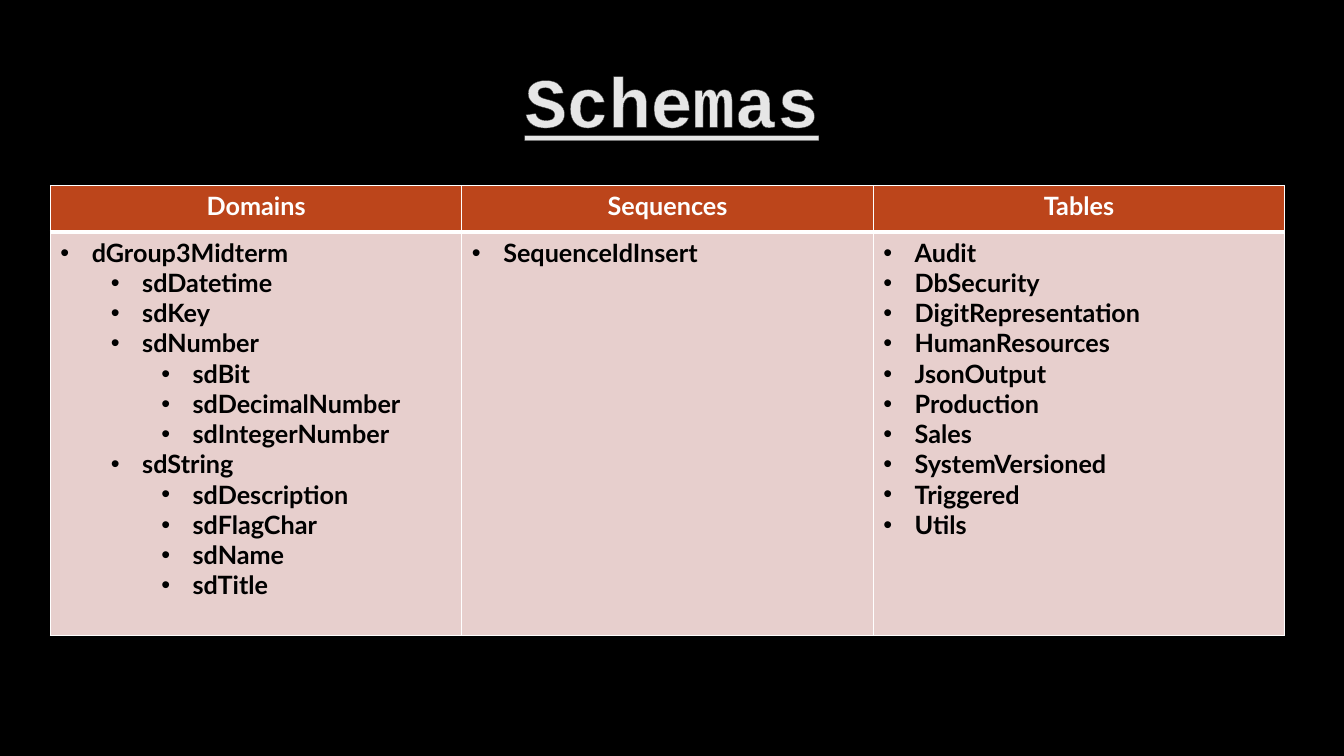
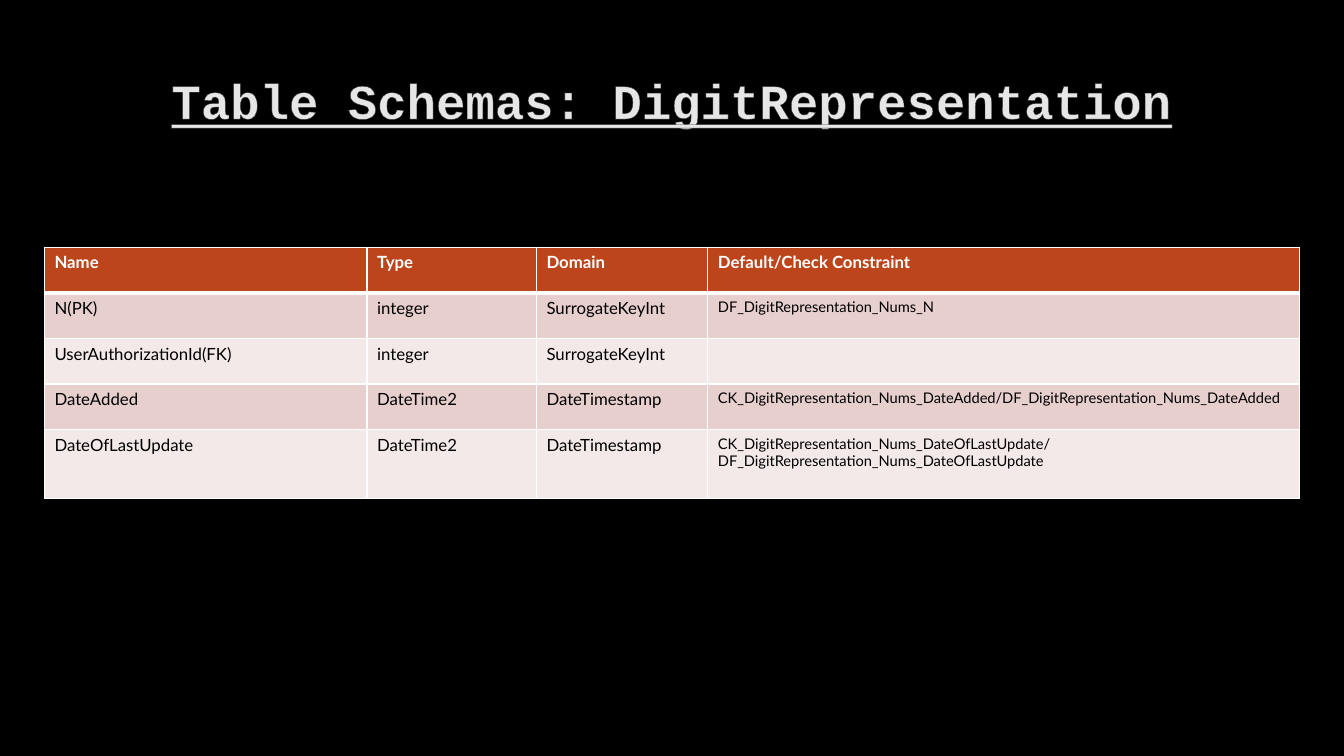
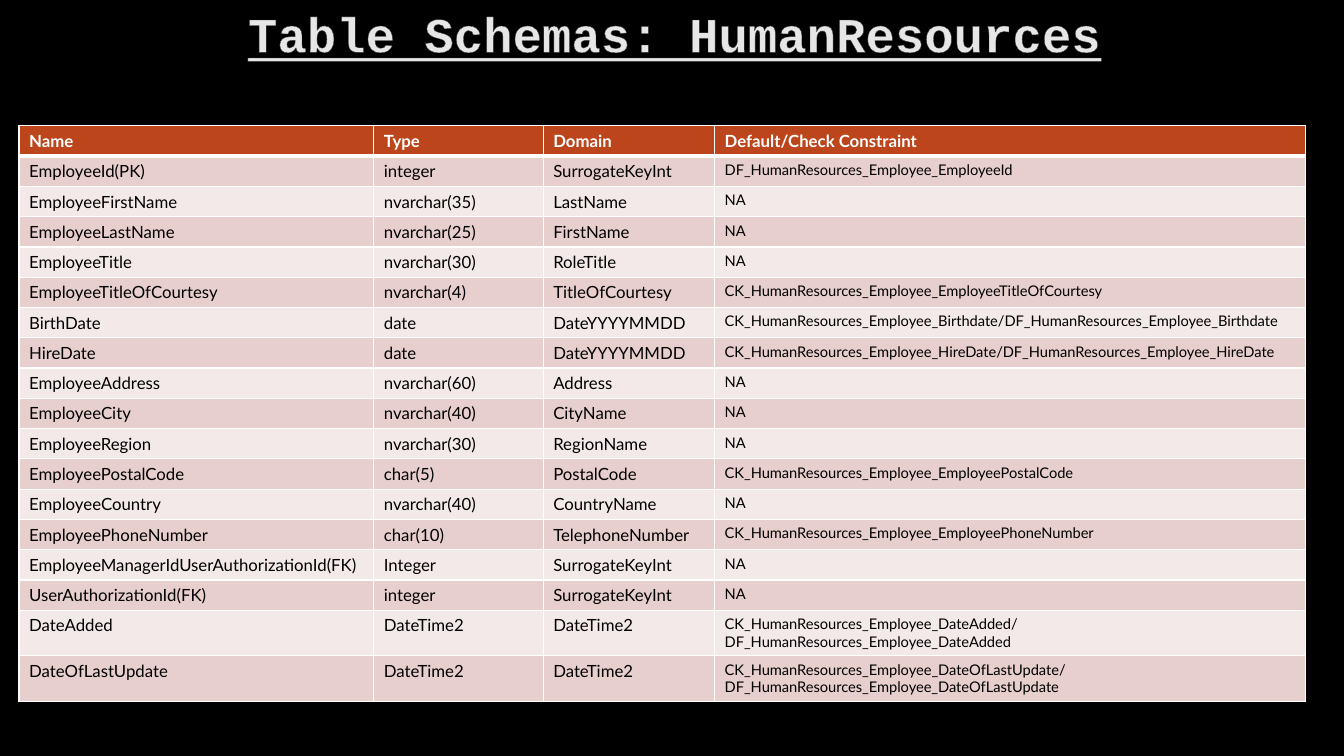
from lxml import etree
from pptx import Presentation
from pptx.dml.color import RGBColor
from pptx.enum.text import MSO_ANCHOR, MSO_AUTO_SIZE, PP_ALIGN
from pptx.oxml.ns import qn
from pptx.util import Cm, Pt

BLACK = RGBColor(0x00, 0x00, 0x00)
WHITE = RGBColor(0xFF, 0xFF, 0xFF)
GRAY = RGBColor(0x40, 0x40, 0x40)
RUST = RGBColor(0xBC, 0x45, 0x1B)
ROSE = RGBColor(0xE7, 0xCF, 0xCD)
PALE = RGBColor(0xF3, 0xE9, 0xE8)
CENTER = PP_ALIGN.CENTER
MIDDLE = MSO_ANCHOR.MIDDLE
NO_FIT = MSO_AUTO_SIZE.NONE
TITLE_FONT = "Courier New"
BODY_FONT = "Lato"
TITLE_BOX = (2.31, 1.02, 29.24, 2.97)
TOP_TITLE_BOX = (0.48, 0, 33.05, 1.65)
TITLE_ONLY = 5

DOMAINS = [
    ("dGroup3Midterm", 0), ("sdDatetime", 1), ("sdKey", 1), ("sdNumber", 1),
    ("sdBit", 2), ("sdDecimalNumber", 2), ("sdIntegerNumber", 2),
    ("sdString", 1), ("sdDescription", 2), ("sdFlagChar", 2),
    ("sdName", 2), ("sdTitle", 2),
]
SEQUENCES = [("SequenceIdInsert", 0)]
TABLES = [(name, 0) for name in (
    "Audit", "DbSecurity", "DigitRepresentation", "HumanResources",
    "JsonOutput", "Production", "Sales", "SystemVersioned", "Triggered",
    "Utils")]
COLUMN_HEADS = ("Name", "Type", "Domain", "Default/Check Constraint")
DIGIT_ROWS = [
    ("N(PK)", "integer", "SurrogateKeyInt", "DF_DigitRepresentation_Nums_N"),
    ("UserAuthorizationId(FK)", "integer", "SurrogateKeyInt", ""),
    ("DateAdded", "DateTime2", "DateTimestamp",
     "CK_DigitRepresentation_Nums_DateAdded/DF_DigitRepresentation_Nums_DateAdded"),
    ("DateOfLastUpdate", "DateTime2", "DateTimestamp",
     "CK_DigitRepresentation_Nums_DateOfLastUpdate/DF_DigitRepresentation_Nums_DateOfLastUpdate"),
]
EMPLOYEE_ROWS = [
    ("EmployeeId(PK)", "integer", "SurrogateKeyInt",
     "DF_HumanResources_Employee_EmployeeId"),
    ("EmployeeFirstName", "nvarchar(35)", "LastName", "NA"),
    ("EmployeeLastName", "nvarchar(25)", "FirstName", "NA"),
    ("EmployeeTitle", "nvarchar(30)", "RoleTitle", "NA"),
    ("EmployeeTitleOfCourtesy", "nvarchar(4)", "TitleOfCourtesy",
     "CK_HumanResources_Employee_EmployeeTitleOfCourtesy"),
    ("BirthDate", "date", "DateYYYYMMDD",
     "CK_HumanResources_Employee_Birthdate/DF_HumanResources_Employee_Birthdate"),
    ("HireDate", "date", "DateYYYYMMDD",
     "CK_HumanResources_Employee_HireDate/DF_HumanResources_Employee_HireDate"),
    ("EmployeeAddress", "nvarchar(60)", "Address", "NA"),
    ("EmployeeCity", "nvarchar(40)", "CityName", "NA"),
    ("EmployeeRegion", "nvarchar(30)", "RegionName", "NA"),
    ("EmployeePostalCode", "char(5)", "PostalCode",
     "CK_HumanResources_Employee_EmployeePostalCode"),
    ("EmployeeCountry", "nvarchar(40)", "CountryName", "NA"),
    ("EmployeePhoneNumber", "char(10)", "TelephoneNumber",
     "CK_HumanResources_Employee_EmployeePhoneNumber"),
    ("EmployeeManagerIdUserAuthorizationId(FK)", "Integer",
     "SurrogateKeyInt", "NA"),
    ("UserAuthorizationId(FK)", "integer", "SurrogateKeyInt", "NA"),
    ("DateAdded", "DateTime2", "DateTime2",
     "CK_HumanResources_Employee_DateAdded/DF_HumanResources_Employee_DateAdded"),
    ("DateOfLastUpdate", "DateTime2", "DateTime2",
     "CK_HumanResources_Employee_DateOfLastUpdate/DF_HumanResources_Employee_DateOfLastUpdate"),
]


def add_line(parent, tag, color, width, alpha=100):
    ln = etree.SubElement(parent, qn(tag), w=str(Pt(width)))
    fill = etree.SubElement(ln, qn("a:solidFill"))
    clr = etree.SubElement(fill, qn("a:srgbClr"), val=str(color))
    if alpha < 100:
        etree.SubElement(clr, qn("a:alpha"), val=str(alpha * 1000))
    return ln


def write(p, text, size=12, font=BODY_FONT, color=BLACK, bold=False,
          underline=None, align=None):
    p.alignment = align
    r = p.add_run()
    r.text = text
    r.font.size = Pt(size)
    r.font.name = font
    r.font.bold = bold
    r.font.underline = underline
    r.font.color.rgb = color
    return r


def add_bullet(p, level):
    p.level = level
    pPr = p._p.get_or_add_pPr()
    pPr.set("marL", str(Cm(0.79 + 1.27 * level)))
    pPr.set("indent", str(Cm(-0.79)))
    etree.SubElement(pPr, qn("a:buFont"), typeface="Arial")
    etree.SubElement(pPr, qn("a:buChar"), char="•")


class Deck:
    def __init__(self):
        self.prs = Presentation()
        self.prs.slide_width = Cm(33.87)
        self.prs.slide_height = Cm(19.05)
        self.s = None

    def slide(self, title, size=35, box=TITLE_BOX):
        self.s = self.prs.slides.add_slide(self.prs.slide_layouts[TITLE_ONLY])
        self.s.background.fill.solid()
        self.s.background.fill.fore_color.rgb = BLACK
        sp = self.s.shapes.title
        sp.left, sp.top, sp.width, sp.height = map(Cm, box)
        tf = sp.text_frame
        tf.word_wrap = True
        tf.auto_size = NO_FIT
        tf.vertical_anchor = MIDDLE
        r = write(tf.paragraphs[0], title, size, TITLE_FONT, WHITE,
                  bold=True, underline=True, align=CENTER)
        rPr = r._r.get_or_add_rPr()
        rPr.insert(0, add_line(rPr, "a:ln", GRAY, 0.75, alpha=90))

    def table(self, left, top, widths, heights):
        frame = self.s.shapes.add_table(
            len(heights), len(widths), Cm(left), Cm(top),
            Cm(sum(widths)), Cm(sum(heights)))
        table = frame.table
        for column, width in zip(table.columns, widths):
            column.width = Cm(width)
        for i, (row, height) in enumerate(zip(table.rows, heights)):
            row.height = Cm(height)
            for cell in row.cells:
                self.style_cell(cell, i)
        return table

    def style_cell(self, cell, row):
        tcPr = cell._tc.get_or_add_tcPr()
        widths = {"L": 1, "R": 1, "T": 3 if row == 1 else 1,
                  "B": 3 if row == 0 else 1}
        for side, width in widths.items():
            add_line(tcPr, f"a:ln{side}", WHITE, width)
        cell.fill.solid()
        cell.fill.fore_color.rgb = RUST if row == 0 else ROSE if row % 2 else PALE

    def list_table(self, left, top, widths, heights, lists):
        table = self.table(left, top, widths, heights)
        for j, (head, items) in enumerate(lists.items()):
            write(table.cell(0, j).text_frame.paragraphs[0], head, 18,
                  color=WHITE, bold=True, align=CENTER)
            tf = table.cell(1, j).text_frame
            for k, (text, level) in enumerate(items):
                p = tf.add_paragraph() if k else tf.paragraphs[0]
                add_bullet(p, level)
                write(p, text, 18, bold=True)

    def schema_table(self, left, top, widths, heights, rows):
        table = self.table(left, top, widths, heights)
        for i, row in enumerate([COLUMN_HEADS, *rows]):
            for j, text in enumerate(row):
                if text:
                    write(table.cell(i, j).text_frame.paragraphs[0], text,
                          size=10.5 if i and j == 3 else 12,
                          color=BLACK if i else WHITE, bold=i == 0)


def main():
    deck = Deck()
    deck.slide("Schemas", size=50)
    deck.list_table(1.27, 4.68, [10.37] * 3, [1.17, 10.16],
                    {"Domains": DOMAINS, "Sequences": SEQUENCES,
                     "Tables": TABLES})

    deck.slide("Table Schemas: DigitRepresentation")
    deck.schema_table(1.12, 6.23, [8.13, 4.27, 4.32, 14.91],
                      [1.15] * 4 + [1.73], DIGIT_ROWS)

    deck.slide("Table Schemas: HumanResources", box=TOP_TITLE_BOX)
    deck.schema_table(0.48, 3.17, [8.94, 4.27, 4.32, 14.9],
                      [0.76] * 16 + [1.14] * 2, EMPLOYEE_ROWS)
    deck.prs.save("out.pptx")


if __name__ == "__main__":
    main()
